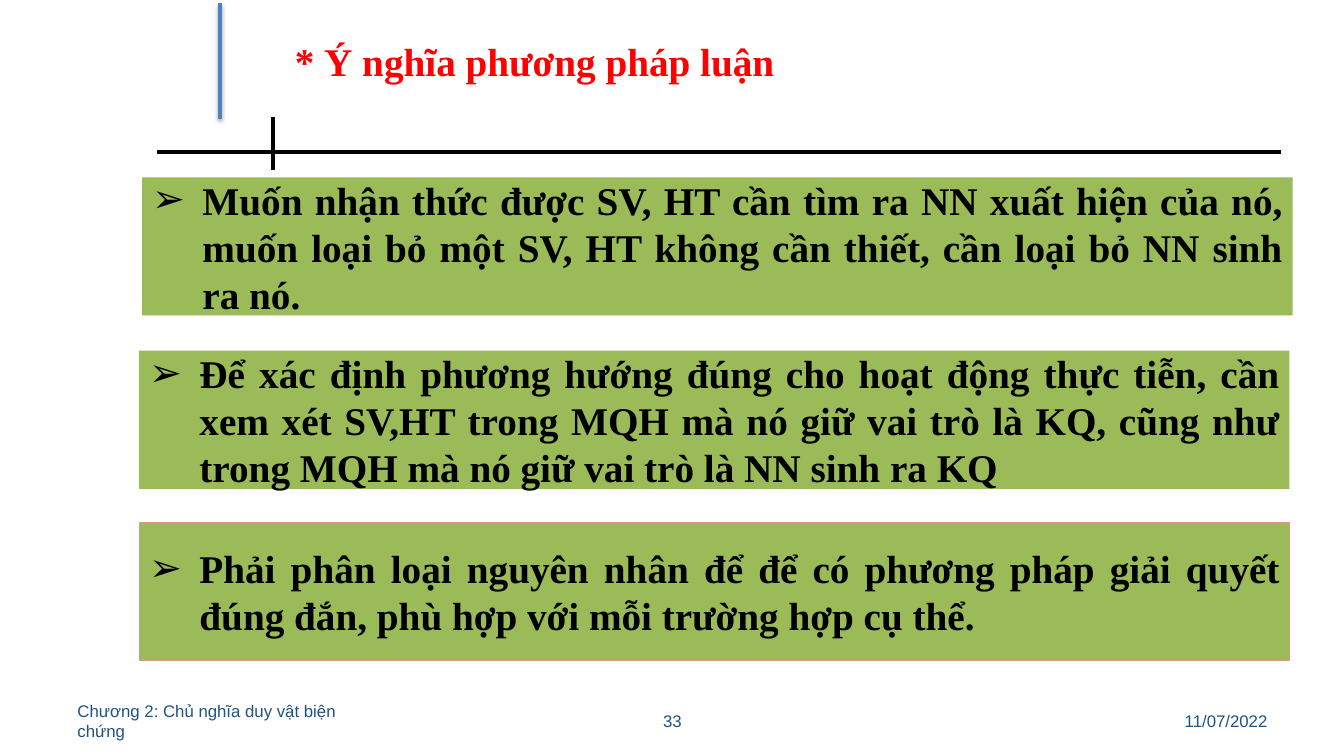
from lxml import etree
from pptx import Presentation
from pptx.dml.color import RGBColor
from pptx.enum.shapes import MSO_CONNECTOR, MSO_SHAPE
from pptx.enum.text import MSO_ANCHOR, PP_ALIGN
from pptx.oxml.ns import qn
from pptx.util import Inches, Pt

STRAIGHT = MSO_CONNECTOR.STRAIGHT
RECTANGLE = MSO_SHAPE.RECTANGLE
TOP, MIDDLE = MSO_ANCHOR.TOP, MSO_ANCHOR.MIDDLE
LEFT, CENTER, RIGHT, JUSTIFY = PP_ALIGN.LEFT, PP_ALIGN.CENTER, PP_ALIGN.RIGHT, PP_ALIGN.JUSTIFY

BLACK, RED, GREEN, PINK, BLUE, NAVY = "000000", "FF0000", "9BBB59", "D99694", "4F81BD", "1F5281"
SERIF, SANS = "Times New Roman", "Arial"

TITLE = "* Ý nghĩa phương pháp luận "
RULES = [
    (1.56, 1.51, 12.71, 1.51, BLACK),
    (2.71, 1.16, 2.71, 1.69, BLACK),
]
ACCENT = (2.18, 0.03, 2.18, 1.18, BLUE)
LESSONS = [
    (1.41, 1.76, None, "Muốn nhận thức được SV, HT cần tìm ra NN xuất hiện của nó, muốn loại bỏ một SV, HT "
     "không cần thiết, cần loại bỏ NN sinh ra nó."),
    (1.38, 3.48, None, "Để xác định phương hướng đúng cho hoạt động thực tiễn, cần xem xét SV,HT trong MQH mà "
     "nó giữ vai trò là KQ, cũng như trong MQH mà nó giữ vai trò là NN sinh ra KQ"),
    (1.38, 5.18, PINK, "Phải phân loại nguyên nhân để để có phương pháp giải quyết đúng đắn, phù hợp với mỗi "
     "trường hợp cụ thể. "),
]
LESSON_SIZE = (11.41, 1.37)
FOOTERS = [
    (0.67, 3.11, LEFT, "Chương 2: Chủ nghĩa duy vật biện chứng"),
    (4.56, 4.22, CENTER, "33"),
    (9.56, 3.11, RIGHT, "11/07/2022"),
]


def color(value):
    return RGBColor.from_string(value)


def add_rule(slide, x1, y1, x2, y2, line_color):
    rule = slide.shapes.add_connector(STRAIGHT, Inches(x1), Inches(y1), Inches(x2), Inches(y2))
    rule.line.color.rgb = color(line_color)
    rule.line.width = Pt(3)
    return etree.SubElement(rule._element.spPr, qn("a:effectLst"))


def add_shadow(effects):
    shadow = etree.SubElement(effects, qn("a:outerShdw"), blurRad=str(Pt(3.1)), dist=str(Pt(1.8)),
                              dir="5400000", rotWithShape="0")
    tint = etree.SubElement(shadow, qn("a:srgbClr"), val=BLACK)
    etree.SubElement(tint, qn("a:alpha"), val="35000")


def add_bullet(paragraph):
    properties = paragraph._p.get_or_add_pPr()
    properties.set("marL", str(Inches(0.5)))
    properties.set("indent", str(Inches(-0.5)))
    etree.SubElement(properties, qn("a:buFont"), typeface=SANS)
    etree.SubElement(properties, qn("a:buChar"), char="➢")


def write(shape, text, align, anchor, font_name, size, text_color, bold=False, bullet=False):
    frame = shape.text_frame
    frame.word_wrap = True
    frame.vertical_anchor = anchor
    frame.text = text
    paragraph = frame.paragraphs[0]
    paragraph.alignment = align
    if bullet:
        add_bullet(paragraph)
    font = paragraph.runs[0].font
    font.name, font.size, font.bold = font_name, Pt(size), bold
    font.color.rgb = color(text_color)


def add_text(slide, left, top, width, height, *style):
    box = slide.shapes.add_textbox(Inches(left), Inches(top), Inches(width), Inches(height))
    write(box, *style)


def add_lesson(slide, left, top, border, text):
    width, height = LESSON_SIZE
    box = slide.shapes.add_shape(RECTANGLE, Inches(left), Inches(top), Inches(width), Inches(height))
    box.shadow.inherit = False
    box.fill.solid()
    box.fill.fore_color.rgb = color(GREEN)
    if border:
        box.line.color.rgb = color(border)
        box.line.width = Pt(0.75)
    else:
        box.line.fill.background()
    write(box, text, JUSTIFY, MIDDLE, SERIF, 28, BLACK, True, True)


def main():
    presentation = Presentation()
    presentation.slide_width, presentation.slide_height = Inches(13.33), Inches(7.5)
    slide = presentation.slides.add_slide(presentation.slide_layouts[6])
    for rule in RULES:
        add_rule(slide, *rule)
    for lesson in LESSONS:
        add_lesson(slide, *lesson)
    add_text(slide, 1.65, 0.32, 7.4, 0.57, TITLE, CENTER, TOP, SERIF, 28, RED, True)
    add_shadow(add_rule(slide, *ACCENT))
    for left, width, align, text in FOOTERS:
        add_text(slide, left, 6.95, width, 0.4, text, align, MIDDLE, SANS, 12, NAVY)
    presentation.save("out.pptx")


if __name__ == "__main__":
    main()
